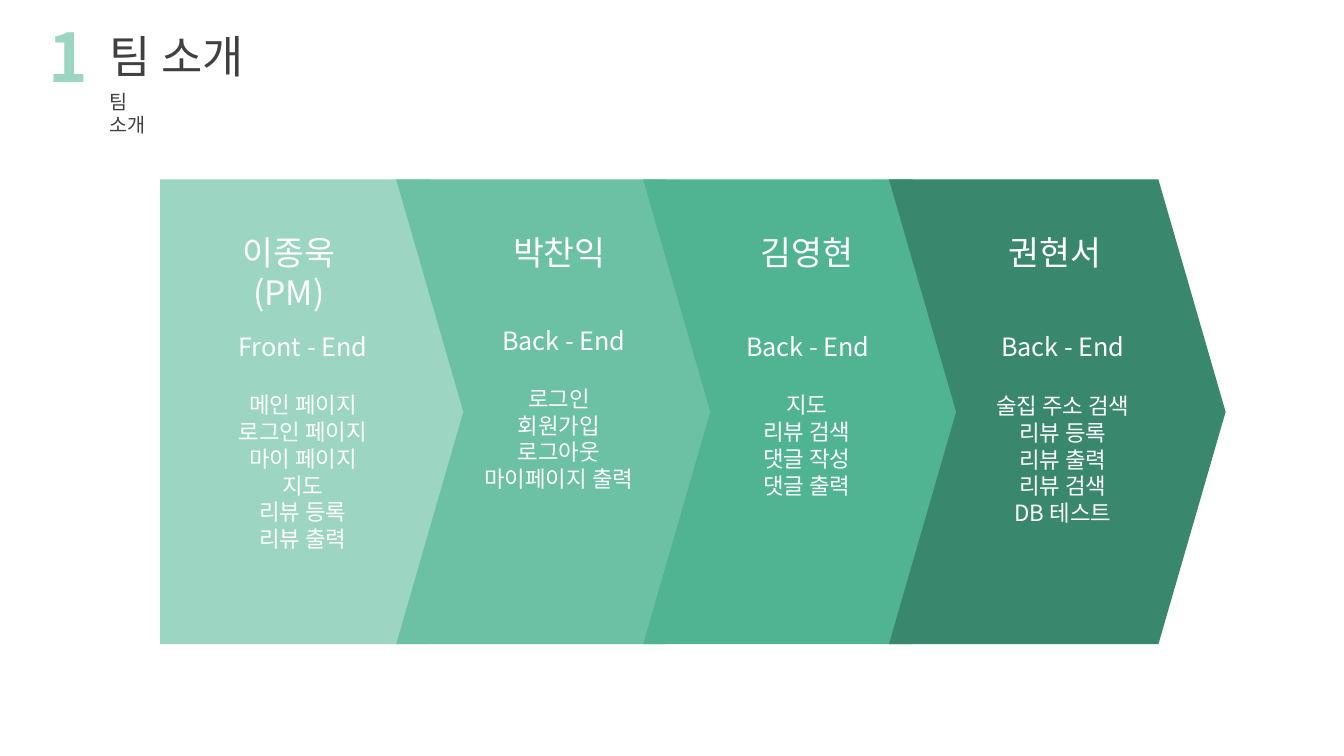
"""Build the team introduction slide with one chevron per member."""
from lxml.etree import SubElement
from pptx import Presentation
from pptx.dml.color import RGBColor
from pptx.enum.text import MSO_ANCHOR, MSO_AUTO_SIZE, PP_ALIGN
from pptx.oxml.ns import qn
from pptx.util import Pt

FONT = "Noto Sans CJK KR"
WHITE, GREY, MINT = "FFFFFF", "404040", "9CD5C2"
CHEVRON_TOP, CHEVRON_HEIGHT, CHEVRON_WIDTH, TIP = 128.2, 332, 240.5, 48


def rgb(value):
    return RGBColor.from_string(value)


def write(box, left, top, width, height, lines, size, color, align=PP_ALIGN.CENTER, bold=False):
    box.left, box.top, box.width, box.height = Pt(left), Pt(top), Pt(width), Pt(height)
    frame = box.text_frame
    frame.word_wrap = True
    frame.auto_size = MSO_AUTO_SIZE.NONE
    frame.vertical_anchor = MSO_ANCHOR.TOP
    frame.text = "\n".join(lines)
    for paragraph in frame.paragraphs:
        paragraph.alignment = align
        font = paragraph.font
        font.name, font.size, font.bold = FONT, Pt(size), bold
        font.color.rgb = rgb(color)
        properties = paragraph._p.pPr.find(qn("a:defRPr"))
        SubElement(properties, qn("a:ea"), typeface=FONT)


deck = Presentation()
deck.slide_width, deck.slide_height = Pt(960), Pt(540)
page = deck.slides.add_slide(deck.slide_layouts[5])
shapes = page.shapes

write(shapes.title, 71.3, 16.6, 130, 46, ["팀 소개"], 32, GREY, PP_ALIGN.LEFT)
subtitle = shapes.add_textbox(0, 0, 0, 0)
write(subtitle, 71.3, 60.5, 50, 42, ["팀 소개"], 14, GREY, PP_ALIGN.LEFT)
number = shapes.add_textbox(0, 0, 0, 0)
write(number, 27.4, 7.2, 50, 65.5, ["1"], 48, MINT, PP_ALIGN.LEFT, True)

members = [
    ("이종욱(PM)", "Front - End",
     ["메인 페이지", "로그인 페이지", "마이 페이지", "지도", "리뷰 등록", "리뷰 출력"],
     MINT, 114.5, 0, (206.3, 216.4, 216.4), (233.3, 275.8)),
    ("박찬익", "Back - End", ["로그인", "회원가입", "로그아웃", "마이페이지 출력"],
     "6CC0A4", 283, TIP, (399.6, 402.8, 399.2), (229, 271.4)),
    ("김영현", "Back - End", ["지도", "리뷰 검색", "댓글 작성", "댓글 출력"],
     "50B493", 459.4, TIP, (576.7, 577, 576.4), (233.3, 275.8)),
    ("권현서", "Back - End",
     ["술집 주소 검색", "리뷰 등록", "리뷰 출력", "리뷰 검색", "DB 테스트"],
     "39876D", 635, TIP, (753.8, 759.2, 759.2), (233.3, 276.5)),
]

for name, role, tasks, color, left, notch, centers, tops in members:
    shoulder = left + CHEVRON_WIDTH - TIP
    middle = CHEVRON_TOP + CHEVRON_HEIGHT / 2
    bottom = CHEVRON_TOP + CHEVRON_HEIGHT
    outline = [(shoulder, CHEVRON_TOP), (left + CHEVRON_WIDTH, middle),
               (shoulder, bottom), (left, bottom)]
    if notch:
        outline.append((left + notch, middle))
    builder = shapes.build_freeform(Pt(left), Pt(CHEVRON_TOP))
    builder.add_line_segments([(Pt(x), Pt(y)) for x, y in outline])
    chevron = builder.convert_to_shape()
    chevron.shadow.inherit = False
    chevron.fill.solid()
    chevron.fill.fore_color.rgb = rgb(color)
    chevron.line.fill.background()

for name, role, tasks, color, left, notch, centers, tops in members:
    labels = [
        ([name], 24, 162, 126, 36),
        ([role], 18, tops[0], 121.7, 29),
        (tasks, 16, tops[1], 203.8, 7.2 + 19.4 * len(tasks)),
    ]
    for center, (lines, size, top, width, height) in zip(centers, labels):
        box = shapes.add_textbox(0, 0, 0, 0)
        write(box, center - width / 2, top, width, height, lines, size, WHITE)

deck.save("out.pptx")
